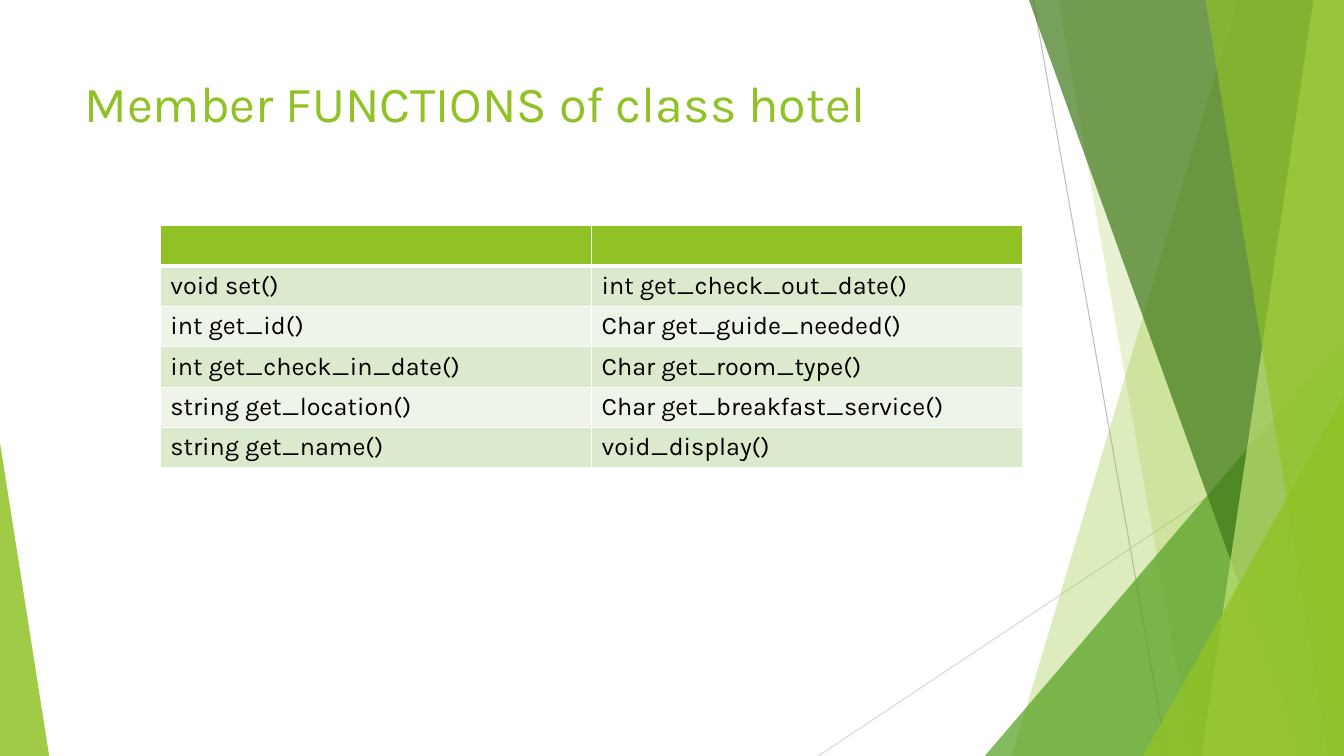
from dataclasses import dataclass

from lxml import etree
from pptx import Presentation
from pptx.dml.color import RGBColor
from pptx.enum.shapes import MSO_CONNECTOR, MSO_SHAPE
from pptx.enum.text import MSO_ANCHOR
from pptx.oxml.ns import qn
from pptx.util import Cm, Pt

STRAIGHT = MSO_CONNECTOR.STRAIGHT
TRIANGLE = MSO_SHAPE.ISOSCELES_TRIANGLE
TOP = MSO_ANCHOR.TOP
WIDE, HIGH = 33.87, 19.05


@dataclass(frozen=True)
class Theme:
    font: str = "Karla"
    lime: str = "90C226"
    leaf: str = "54A021"
    pine: str = "3F7819"
    pale: str = "C0E474"
    white: str = "FFFFFF"
    black: str = "000000"
    gray: str = "BFBFBF"
    mist: str = "D9D9D9"
    bands: tuple = ("DBE9CD", "EEF4E8")
    title: int = 36
    body: int = 18


THEME = Theme()
FUNCTIONS = [
    ("", ""),
    ("void set()", "int get_check_out_date()"),
    ("int get_id()", "Char get_guide_needed()"),
    ("int get_check_in_date()", "Char get_room_type()"),
    ("string get_location()", "Char get_breakfast_service()"),
    ("string get_name()", "void_display()"),
]


def apply(target, values):
    for name, value in values.items():
        setattr(target, name, value)


def write(frame, text, size, color):
    part = frame.paragraphs[0]
    part.text = text
    apply(part.font, {"name": THEME.font, "size": Pt(size)})
    part.font.color.rgb = RGBColor.from_string(color)


def paint(shape, color, alpha):
    shape.shadow.inherit = False
    shape.line.fill.background()
    shape.fill.solid()
    shape.fill.fore_color.rgb = RGBColor.from_string(color)
    tint = shape.fill._xPr.find(qn("a:solidFill"))[0]
    etree.SubElement(tint, qn("a:alpha"), val=str(alpha * 1000))


def add_line(slide, start, end, color):
    line = slide.shapes.add_connector(STRAIGHT, *map(Cm, start + end))
    line.line.color.rgb = RGBColor.from_string(color)
    line.line.width = Pt(0.75)
    etree.SubElement(line._element.spPr, qn("a:effectLst"))


def add_shard(slide, upper, lower, color, alpha):
    points = [(WIDE, 0), (WIDE, HIGH), (lower, HIGH)]
    build = slide.shapes.build_freeform(Cm(upper), 0)
    build.add_line_segments([(Cm(x), Cm(y)) for x, y in points])
    paint(build.convert_to_shape(), color, alpha)


def add_peak(slide, left, width, height, tip, color, alpha):
    box = map(Cm, (left, HIGH - height, width, height))
    peak = slide.shapes.add_shape(TRIANGLE, *box)
    peak.adjustments[0] = tip
    paint(peak, color, alpha)


def add_title(slide, text):
    box = slide.shapes.add_textbox(Cm(1.88), Cm(1.7), Cm(23.88), Cm(3.66))
    apply(box.text_frame, {"word_wrap": True, "vertical_anchor": TOP})
    write(box.text_frame, text, THEME.title, THEME.lime)


def add_edge(cell, side, width):
    props = cell._tc.get_or_add_tcPr()
    edge = etree.SubElement(props, qn(f"a:ln{side}"), w=str(Pt(width)))
    fill = etree.SubElement(edge, qn("a:solidFill"))
    etree.SubElement(fill, qn("a:srgbClr"), val=THEME.white)


def add_grid(slide, rows):
    box = map(Cm, (4.04, 5.69, 21.74, 6.1))
    grid = slide.shapes.add_table(len(rows), len(rows[0]), *box).table
    for i, row in enumerate(rows):
        edges = {"L": 1, "R": 1, "T": 3 if i == 1 else 1, "B": 1 if i else 3}
        color = THEME.bands[(i - 1) % 2] if i else THEME.lime
        for j, text in enumerate(row):
            cell = grid.cell(i, j)
            for side, width in edges.items():
                add_edge(cell, side, width)
            cell.fill.solid()
            cell.fill.fore_color.rgb = RGBColor.from_string(color)
            write(cell.text_frame, text, THEME.body, THEME.black)


def main():
    deck = Presentation()
    apply(deck, {"slide_width": Cm(WIDE), "slide_height": Cm(HIGH)})
    slide = deck.slides.add_slide(deck.slide_layouts[6])
    add_line(slide, (26.04, 0), (29.41, HIGH), THEME.gray)
    add_line(slide, (WIDE, 10.24), (20.62, HIGH), THEME.mist)
    add_shard(slide, 31.19, 25.5, THEME.lime, 30)
    add_shard(slide, 26.67, 30.05, THEME.lime, 20)
    add_peak(slide, 24.82, 9.05, 10.59, 1, THEME.leaf, 72)
    add_shard(slide, 25.93, 32.79, THEME.pine, 70)
    add_shard(slide, 33.1, 30.28, THEME.pale, 70)
    add_shard(slide, 30.38, 33.48, THEME.lime, 65)
    add_peak(slide, 28.8, 5.07, 9.07, 1, THEME.lime, 80)
    add_peak(slide, 0, 1.24, 7.9, 0, THEME.lime, 85)
    add_title(slide, "Member FUNCTIONS of class hotel")
    add_grid(slide, FUNCTIONS)
    deck.save("out.pptx")


main()
